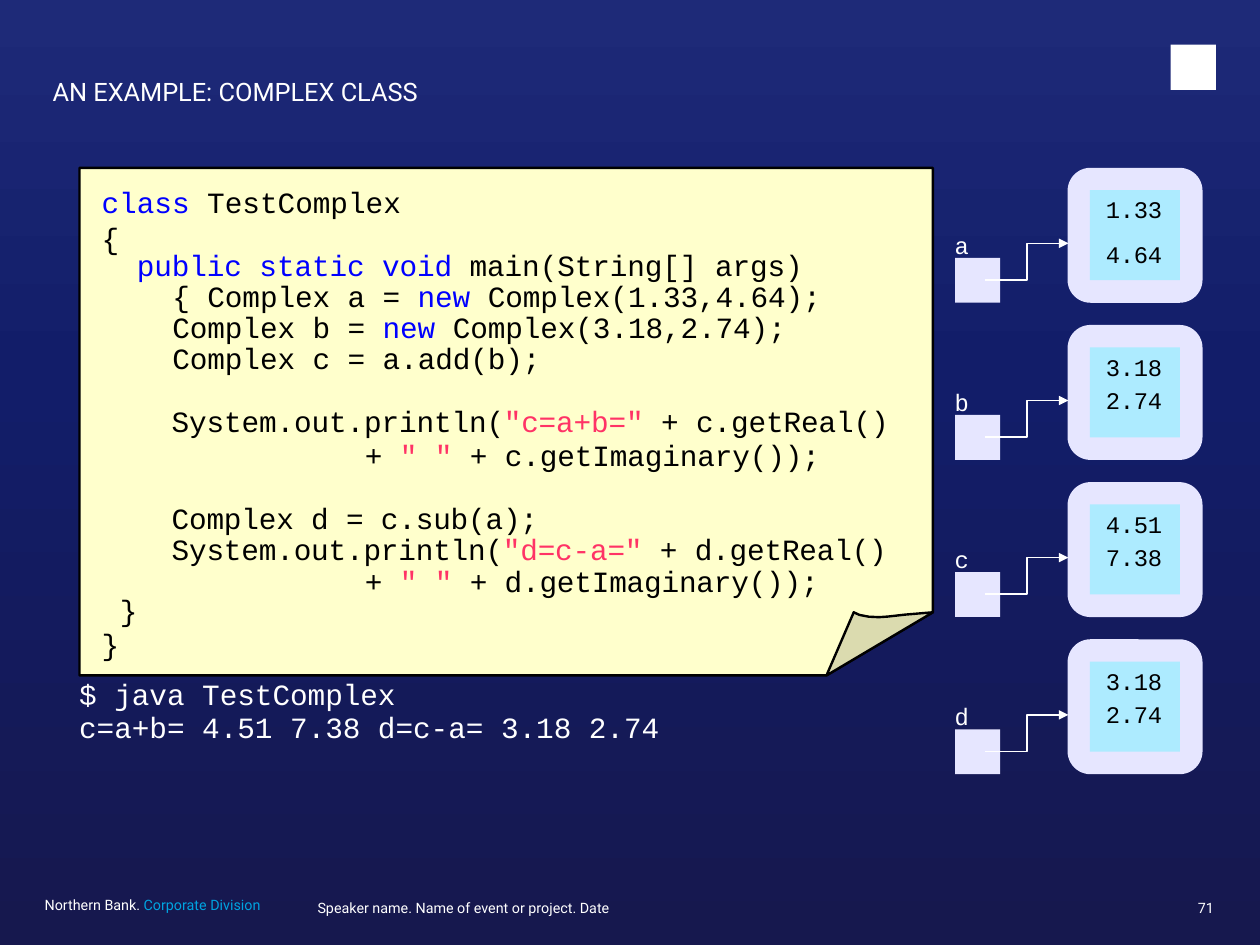
from copy import deepcopy

from lxml import etree
from pptx import Presentation
from pptx.dml.color import RGBColor
from pptx.enum import shapes as kinds, text
from pptx.oxml.ns import qn
from pptx.util import Pt

WHITE, BLACK, LILAC = "FFFFFF", "000000", "E6E6FF"
KEYWORD, STRING = "0000FF", "FF3366"
MONO, SANS = "Courier New", "Roboto"


def paint(shape, fill, line=None):
    shape.shadow.inherit = False
    shape.fill.solid()
    shape.fill.fore_color.rgb = RGBColor.from_string(fill)
    if line:
        shape.line.color.rgb = RGBColor.from_string(line)
        shape.line.width = Pt(1.5)
    else:
        shape.line.fill.background()


def write(shape, lines, size, font, pitch, gap=0, align=text.PP_ALIGN.LEFT, top=0, tracking=0):
    """Fill a shape with lines, each an indent in points and (words, colour) runs.

    Tracking is in hundredths of a point.
    """
    frame = shape.text_frame
    frame.word_wrap = True
    frame.vertical_anchor = text.MSO_ANCHOR.TOP
    frame.margin_left = frame.margin_right = frame.margin_bottom = 0
    frame.margin_top = Pt(top)
    for number, (indent, runs) in enumerate(lines):
        paragraph = frame.add_paragraph() if number else frame.paragraphs[0]
        paragraph.alignment = align
        paragraph.line_spacing = Pt(pitch)
        paragraph.space_before = Pt(gap if number else 0)
        paragraph._p.get_or_add_pPr().set("marL", str(Pt(indent)))
        for words, color in runs:
            run = paragraph.add_run()
            run.text = words
            run.font.size = Pt(size)
            run.font.name = font
            run.font.color.rgb = RGBColor.from_string(color)
            if tracking:
                run._r.get_or_add_rPr().set("spc", str(tracking))


prs = Presentation()
prs.slide_width, prs.slide_height = Pt(793.7), Pt(595.28)
slide = prs.slides.add_slide(prs.slide_layouts[6])
shapes = slide.shapes

# Background
backdrop = slide.background.fill
backdrop.gradient()
backdrop.gradient_angle = 90
stops = slide._element.find(".//" + qn("a:gsLst"))
stops.insert(1, deepcopy(stops[0]))
shades = [(0, "16184E"), (0.6, "121D69"), (1, "1E2A78")]
for stop, (position, color) in zip(backdrop.gradient_stops, shades):
    stop.position = position
    stop.color.rgb = RGBColor.from_string(color)

# Title, emblem and footer
emblem = shapes.add_shape(kinds.MSO_SHAPE.RECTANGLE, Pt(737.5), Pt(28.2), Pt(28.4), Pt(28.4))
paint(emblem, WHITE)
title = shapes.add_textbox(Pt(33.1), Pt(50.4), Pt(682), Pt(44))
write(title, [(0, [("AN EXAMPLE: COMPLEX CLASS", WHITE)])], 16, SANS, 17)

left, right = text.PP_ALIGN.LEFT, text.PP_ALIGN.RIGHT
footers = [
    (28.1, 566.6, 157, left, [("Northern Bank. ", WHITE), ("Corporate Division", "00A3E0")]),
    (200, 568.4, 389, left, [("Speaker name. Name of event or project. Date", WHITE)]),
    (737.3, 568.4, 27.4, right, [("71", WHITE)]),
]
for x, y, width, align, runs in footers:
    footer = shapes.add_textbox(Pt(x), Pt(y), Pt(width), Pt(14.4))
    write(footer, [(0, runs)], 9, SANS, 9, align=align)

# Code note with a folded corner
sheet = [(587.7, 385.7), (587.7, 105.8), (50.1, 105.8), (50.1, 425.5), (520.6, 425.5)]
fold = [(587.7, 385.7), (570.2, 387.2), (559.4, 388.4), (553.7, 388.8), (547.2, 388.5),
        (541.4, 387.4), (537.8, 385.7), (520.6, 425.5)]
for outline, color in [(sheet, "FFFFCC"), (fold, "DBDBAF")]:
    builder = shapes.build_freeform(*[Pt(v) for v in outline[0]], scale=1.0)
    builder.add_line_segments([(Pt(x), Pt(y)) for x, y in outline[1:]], close=True)
    paint(builder.convert_to_shape(), color, BLACK)

code_blocks = [
    (64, 115.5, 212, 22.6, 0, [
        (0, [("class ", KEYWORD), ("TestComplex", BLACK)]),
        (0, [("{", BLACK)]),
    ]),
    (86.2, 158.4, 450, 19.6, -5, [
        (0, [("public static void ", KEYWORD), ("main(String[] args)", BLACK)]),
        (22.4, [("{ Complex a = ", BLACK), ("new ", KEYWORD), ("Complex(1.33,4.64);", BLACK)]),
        (22.4, [("Complex b = ", BLACK), ("new ", KEYWORD), ("Complex(3.18,2.74);", BLACK)]),
        (22.4, [("Complex c = a.add(b);", BLACK)]),
    ]),
    (108.2, 255.4, 465, 21, -8, [
        (0, [("System.out.println(", BLACK), ('"c=a+b=" ', STRING), ("+ c.getReal()", BLACK)]),
        (121.7, [("+ ", BLACK), ('" " ', STRING), ("+ c.getImaginary());", BLACK)]),
    ]),
    (108.2, 317.6, 465, 19.7, -12, [
        (0, [("Complex d = c.sub(a);", BLACK)]),
        (0, [("System.out.println(", BLACK), ('"d=c-a=" ', STRING), ("+ d.getReal()", BLACK)]),
        (121.7, [("+ ", BLACK), ('" " ', STRING), ("+ d.getImaginary());", BLACK)]),
    ]),
    (64, 374.4, 24, 21.1, 0, [(11.5, [("}", BLACK)]), (0, [("}", BLACK)])]),
    (49.9, 426.9, 380, 21.1, -4, [
        (0, [("$ java TestComplex", WHITE)]),
        (0, [("c=a+b= 4.51 7.38 d=c-a= 3.18 2.74", WHITE)]),
    ]),
]
for x, y, width, pitch, tracking, lines in code_blocks:
    block = shapes.add_textbox(Pt(x), Pt(y), Pt(width), Pt(pitch * len(lines)))
    write(block, lines, 18.5, MONO, pitch, tracking=tracking)

# Variables and the objects they refer to
variables = [("a", "1.33", "4.64", 10.2), ("b", "3.18", "2.74", 3.1),
             ("c", "4.51", "7.38", 3.1), ("d", "3.18", "2.74", 3.1)]
for row, (name, real, imaginary, gap) in enumerate(variables):
    y = 105.7 + 99 * row

    card = shapes.add_shape(kinds.MSO_SHAPE.ROUNDED_RECTANGLE, Pt(672.5), Pt(y), Pt(85), Pt(85))
    card.adjustments[0] = 0.17
    paint(card, LILAC)
    fields = shapes.add_shape(kinds.MSO_SHAPE.RECTANGLE,
                              Pt(686.6), Pt(y + 14.1), Pt(56.7), Pt(56.7))
    paint(fields, "ADEBFF")
    values = [(10.1, [(real, BLACK)]), (10.1, [(imaginary, BLACK)])]
    write(fields, values, 15, MONO, 18, gap, top=3.1, tracking=-20)

    reference = shapes.add_shape(kinds.MSO_SHAPE.RECTANGLE,
                                 Pt(601.7), Pt(y + 56.7), Pt(28.3), Pt(28.3))
    paint(reference, LILAC)
    label = shapes.add_textbox(Pt(601.4), Pt(y + 39.5), Pt(11), Pt(19))
    write(label, [(0, [(name, WHITE)])], 15, MONO, 18)

    arrow = shapes.add_connector(kinds.MSO_CONNECTOR.ELBOW,
                                 Pt(620.6), Pt(y + 70.6), Pt(673), Pt(y + 47.6))
    arrow.line.color.rgb = RGBColor.from_string(WHITE)
    arrow.line.width = Pt(1)
    etree.SubElement(arrow.line._get_or_add_ln(), qn("a:tailEnd"), type="triangle")
    etree.SubElement(arrow._element.spPr, qn("a:effectLst"))

prs.save("out.pptx")
